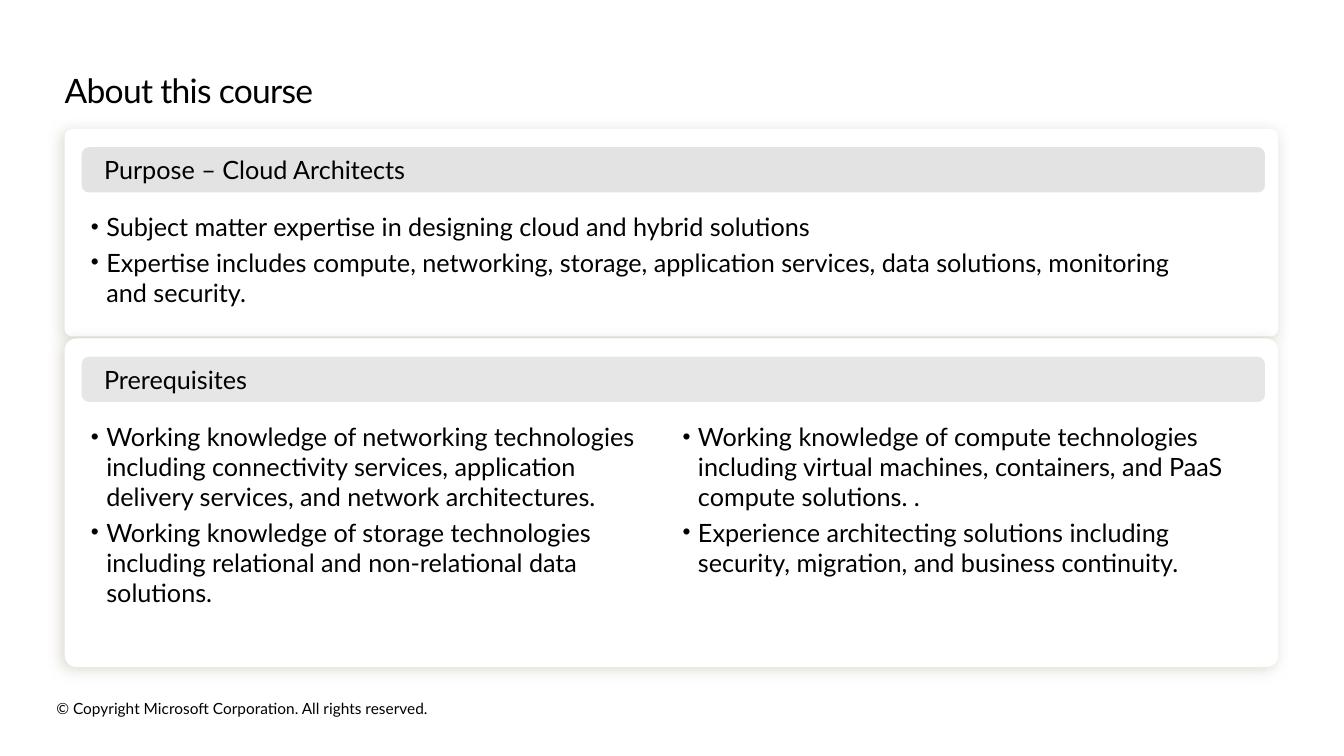
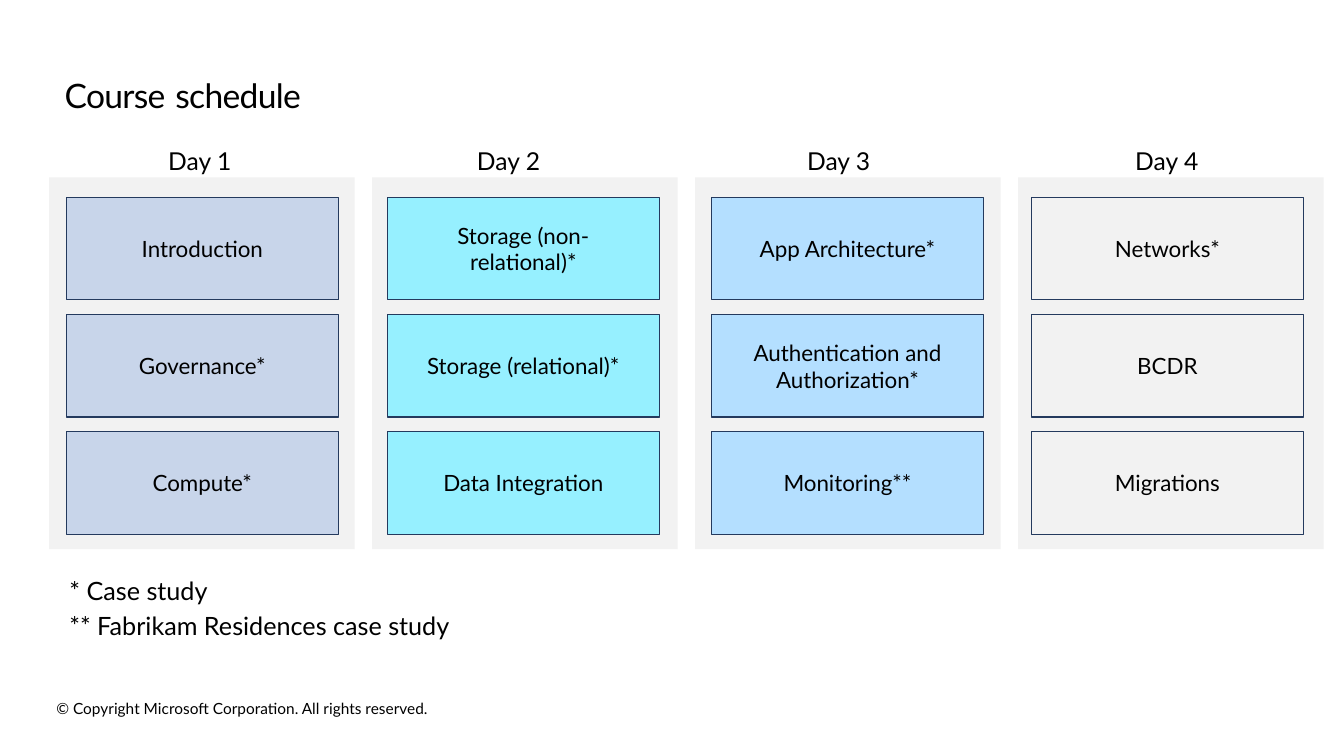
from lxml import etree
from pptx import Presentation
from pptx.dml.color import RGBColor
from pptx.enum import shapes, text
from pptx.oxml import ns
from pptx.util import Cm, Pt

FONT = "Lato"
BLACK = RGBColor(0x00, 0x00, 0x00)
WHITE = RGBColor(0xFF, 0xFF, 0xFF)
PALE_GREY = RGBColor(0xF2, 0xF2, 0xF2)
HEADING_GREY = RGBColor(0xE3, 0xE3, 0xE4)
HEADING_LIGHT = RGBColor(0xE6, 0xE6, 0xE6)
LAVENDER = RGBColor(0xC8, 0xD5, 0xEA)
CYAN = RGBColor(0x96, 0xF0, 0xFF)
SKY = RGBColor(0xB4, 0xDF, 0xFF)
NAVY = RGBColor(0x24, 0x3A, 0x5E)
SHADOW = RGBColor(0xCA, 0xC5, 0xB8)

NO_INSETS = (0, 0, 0, 0)
WIDE_INSETS = (0.51, 0.41, 0.51, 0.41)
TITLE_INSETS = (0, 0.25, 0.41, 0.25)
RECT = shapes.MSO_SHAPE.RECTANGLE
ROUNDED = shapes.MSO_SHAPE.ROUNDED_RECTANGLE

PANEL_LEFT, PANEL_WIDTH = 1.63, 30.58
DAY_LEFT, DAY_TOP, DAY_PITCH = 1.24, 4.47, 8.14
DAY_WIDTH, DAY_HEIGHT = 7.7, 9.37
TILE_WIDTH, TILE_HEIGHT, TILE_PITCH = 6.86, 2.59, 2.95

# name, label offset, tile offset, tile colour, topics
DAYS = [
    ("Day 1", 3.0, 0.43, LAVENDER, ["Introduction", "Governance*", "Compute*"]),
    ("Day 2", 2.64, 0.38, CYAN,
     ["Storage (non-relational)*", "Storage (relational)*", "Data Integration"]),
    ("Day 3", 2.82, 0.41, SKY,
     ["App Architecture*", "Authentication and Authorization*", "Monitoring**"]),
    ("Day 4", 2.95, 0.33, PALE_GREY, ["Networks*", "BCDR", "Migrations"]),
]


def place(sp, left, top, width, height):
    sp.left, sp.top, sp.width, sp.height = map(Cm, (left, top, width, height))


def set_frame(sp, insets, anchor=text.MSO_ANCHOR.TOP):
    tf = sp.text_frame
    tf.word_wrap = True
    tf.auto_size = text.MSO_AUTO_SIZE.NONE
    tf.vertical_anchor = anchor
    tf.margin_left, tf.margin_top, tf.margin_right, tf.margin_bottom = map(Cm, insets)
    return tf


def add_run(p, words, size):
    r = p.add_run()
    r.text = words
    r.font.name, r.font.size, r.font.bold = FONT, Pt(size), False
    r.font.color.rgb = BLACK
    return r


def paragraphs(tf, lines):
    for i, line in enumerate(lines):
        yield (tf.add_paragraph() if i else tf.paragraphs[0]), line


def add_text(slide, box, lines, size, insets=NO_INSETS, spacing=1.0, after=0):
    sp = slide.shapes.add_textbox(*map(Cm, box))
    for p, line in paragraphs(set_frame(sp, insets), lines):
        p.line_spacing, p.space_after = spacing, Pt(after)
        add_run(p, line, size)
    return sp


def add_box(slide, kind, box, fill, line=None):
    sp = slide.shapes.add_shape(kind, *map(Cm, box))
    sp.shadow.inherit = False
    sp.fill.solid()
    sp.fill.fore_color.rgb = fill
    if line is None:
        sp.line.fill.background()
    else:
        sp.line.color.rgb, sp.line.width = line, Pt(0.75)
    return sp


def add_label(sp, words, size, align):
    p = set_frame(sp, WIDE_INSETS, text.MSO_ANCHOR.MIDDLE).paragraphs[0]
    p.alignment = align
    add_run(p, words, size)


def add_soft_shadow(sp):
    effects = sp.element.spPr.find(ns.qn("a:effectLst"))
    outer = etree.SubElement(effects, ns.qn("a:outerShdw"), blurRad=str(Pt(10)),
                             dist=str(Pt(3)), dir=str(135 * 60000), rotWithShape="0")
    color = etree.SubElement(outer, ns.qn("a:srgbClr"), val=str(SHADOW))
    etree.SubElement(color, ns.qn("a:alpha"), val="64000")


def add_footer(slide):
    """Put the copyright line on the slide's layout."""
    sp = add_text(slide, (1.17, 17.48, 16.94, 0.74),
                  ["© Copyright Microsoft Corporation. All rights reserved."], 11,
                  (0.25, 0.13, 0.25, 0.13))
    slide.slide_layout.shapes.element.append(sp.element)


def set_title(slide, runs, height):
    sp = slide.shapes.title
    place(sp, PANEL_LEFT, 1.63, 24.38, height)
    p = set_frame(sp, TITLE_INSETS).paragraphs[0]
    p.alignment, p.line_spacing = text.PP_ALIGN.LEFT, 0.9
    for words, size in runs:
        add_run(p, words, size).font._element.set("spc", "-50")


def fill_list(slide, idx, box, items):
    """Fill a body placeholder with bullets and bring it to the front."""
    sp = slide.placeholders[idx]
    place(sp, *box)
    slide.shapes.element.append(sp.element)
    for i, (p, item) in enumerate(paragraphs(set_frame(sp, NO_INSETS), items)):
        pPr = p._p.get_or_add_pPr()
        pPr.set("marL", str(Cm(0.39)))
        pPr.set("indent", str(-Cm(0.39)))
        etree.SubElement(pPr, ns.qn("a:buSzPct"), val="90000")
        etree.SubElement(pPr, ns.qn("a:buFont"), typeface="Arial")
        etree.SubElement(pPr, ns.qn("a:buChar"), char="•")
        p.line_spacing, p.space_before = 1.0, Pt(3.6 if i else 0)
        add_run(p, item, 18)


def add_panel(slide, top, height, heading, heading_fill, lists):
    """Add a shadowed card; lists holds (placeholder idx, offset, width, items)."""
    card = add_box(slide, ROUNDED, (PANEL_LEFT, top, PANEL_WIDTH, height), WHITE)
    card.adjustments[0] = 0.036
    add_soft_shadow(card)
    bar = add_box(slide, ROUNDED, (PANEL_LEFT + 0.43, top + 0.46, 29.82, 1.14),
                  heading_fill)
    bar.adjustments[0] = 0.16
    add_label(bar, heading, 18, text.PP_ALIGN.LEFT)
    for idx, offset, width, items in lists:
        fill_list(slide, idx, (PANEL_LEFT + offset, top + 2.08, width, height - 2.6), items)


def add_day(slide, left, name, label_offset, tile_offset, fill, topics):
    add_text(slide, (left + label_offset, 3.68, 1.85, 0.89), [name], 17.6)
    add_box(slide, RECT, (left, DAY_TOP, DAY_WIDTH, DAY_HEIGHT), PALE_GREY)
    for row, topic in enumerate(topics):
        top = DAY_TOP + 0.5 + row * TILE_PITCH
        tile = add_box(slide, RECT, (left + tile_offset, top, TILE_WIDTH, TILE_HEIGHT),
                       fill, NAVY)
        add_label(tile, topic, 16, text.PP_ALIGN.CENTER)


def new_slide(prs, layout_name, title_runs, title_height):
    slide = prs.slides.add_slide(prs.slide_layouts.get_by_name(layout_name))
    add_footer(slide)
    set_title(slide, title_runs, title_height)
    return slide


def about_slide(prs):
    slide = new_slide(prs, "Comparison", [("About this course", 24)], 1.02)
    add_panel(slide, 3.25, 5.23, "Purpose – Cloud Architects", HEADING_GREY, [
        (1, 0.66, 28.27, [
            "Subject matter expertise in designing cloud and hybrid solutions",
            "Expertise includes compute, networking, storage, application services, "
            "data solutions, monitoring and security."])])
    add_panel(slide, 8.53, 8.28, "Prerequisites", HEADING_LIGHT, [
        (2, 0.66, 14.02, [
            "Working knowledge of networking technologies including connectivity "
            "services, application delivery services, and network architectures.",
            "Working knowledge of storage technologies including relational and "
            "non-relational data solutions."]),
        (4, 15.57, 13.94, [
            "Working knowledge of compute technologies including virtual machines, "
            "containers, and PaaS compute solutions. .",
            "Experience architecting solutions including security, migration, and "
            "business continuity."])])
    unused = slide.placeholders[3].element
    unused.getparent().remove(unused)


def schedule_slide(prs):
    slide = new_slide(prs, "Title Only",
                      [("Course", 24), (" ", 28), ("schedule", 24)], 1.19)
    for i, day in enumerate(DAYS):
        add_day(slide, DAY_LEFT + i * DAY_PITCH, *day)
    add_text(slide, (DAY_LEFT, 14.17, 12, 2.41),
             ["* Case study", "** Fabrikam Residences case study"], 18,
             WIDE_INSETS, spacing=0.9, after=6)


def main():
    prs = Presentation()
    prs.slide_width, prs.slide_height = Cm(33.87), Cm(19.05)
    about_slide(prs)
    schedule_slide(prs)
    prs.save("out.pptx")


if __name__ == "__main__":
    main()
